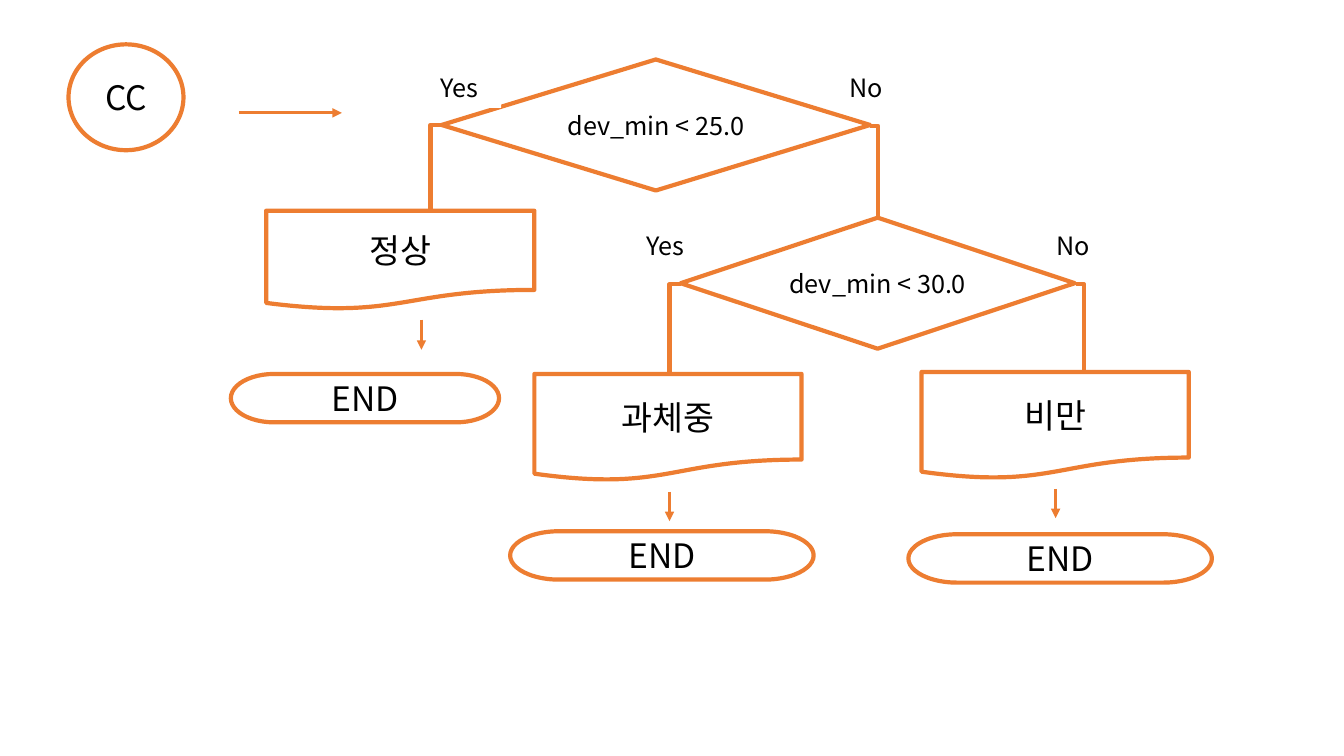
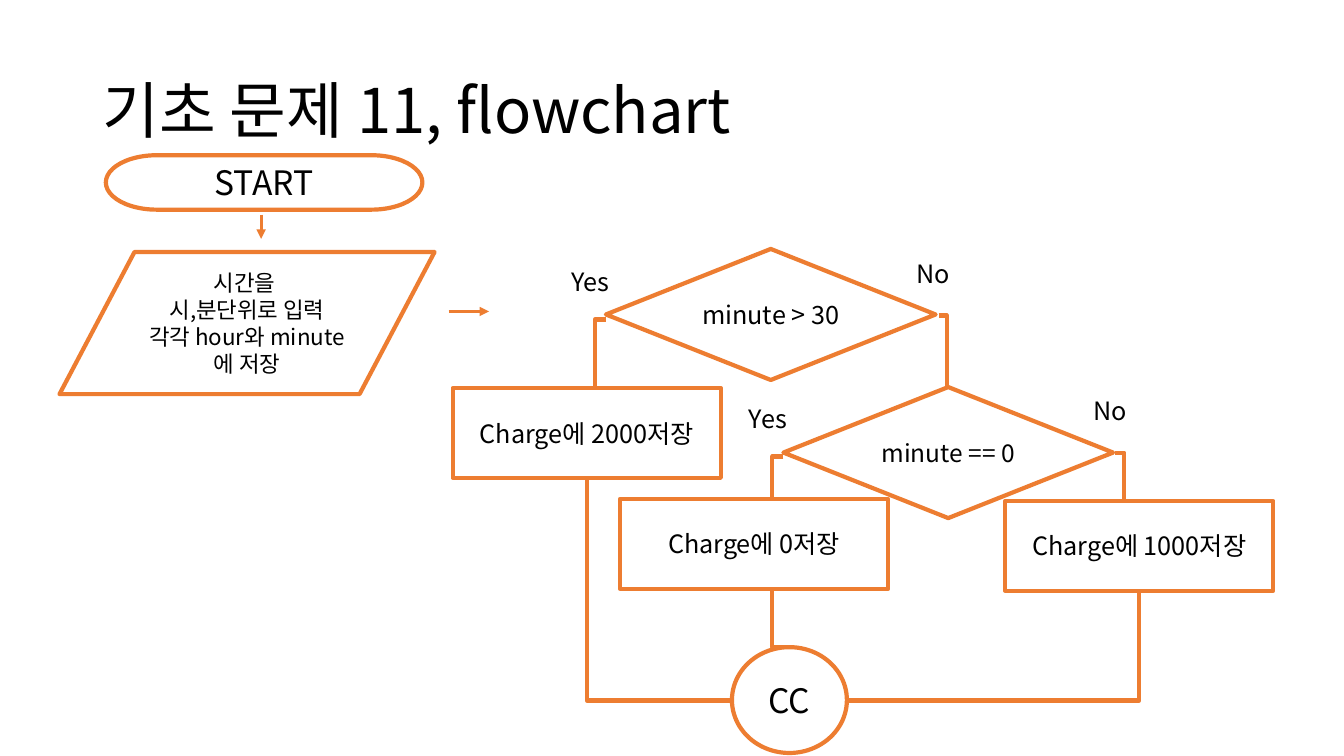
from pptx import Presentation
from pptx.dml.color import RGBColor
from pptx.enum.shapes import MSO_CONNECTOR, MSO_SHAPE
from pptx.enum.text import MSO_ANCHOR, PP_ALIGN
from pptx.oxml.ns import qn
from pptx.util import Inches, Pt
from lxml import etree

ORANGE = RGBColor(0xED, 0x7D, 0x31)
WHITE = RGBColor(0xFF, 0xFF, 0xFF)
BLACK = RGBColor(0x00, 0x00, 0x00)
FONT = "Noto Sans CJK KR"
CENTER, LEFT = PP_ALIGN.CENTER, PP_ALIGN.LEFT
MIDDLE, TOP = MSO_ANCHOR.MIDDLE, MSO_ANCHOR.TOP
STRAIGHT = MSO_CONNECTOR.STRAIGHT
DECISION = MSO_SHAPE.FLOWCHART_DECISION
DOCUMENT = MSO_SHAPE.FLOWCHART_DOCUMENT
TERMINATOR = MSO_SHAPE.FLOWCHART_TERMINATOR
INPUT = MSO_SHAPE.FLOWCHART_DATA
CIRCLE = MSO_SHAPE.OVAL
RECTANGLE = MSO_SHAPE.RECTANGLE

SLIDE_SIZE = (13.33, 7.5)
TITLE_BOX = (0.92, 0.4, 11.5, 1.45)
LABEL_SIZES = {"Yes": (0.7, 0.4), "No": (0.67, 0.4)}
OUTLINE, ARROW = 3, 2.25

PAGES = [
    {
        "title": None,
        "elbows": [
            [(4.38, 1.24), (4.27, 1.24), (4.27, 2.11)],
            [(8.63, 1.25), (8.71, 1.25), (8.71, 2.16)],
            [(6.75, 2.82), (6.64, 2.82), (6.64, 3.69)],
            [(10.67, 2.82), (10.75, 2.82), (10.75, 3.74)],
        ],
        "nodes": [
            (CIRCLE, "CC", 24, (0.68, 0.44, 1.14, 1.05)),
            (DECISION, "dev_min < 25.0", 18, (4.38, 0.59, 4.25, 1.3)),
            (DECISION, "dev_min < 30.0", 18, (6.75, 2.16, 3.91, 1.3)),
            (DOCUMENT, "정상", 24, (2.64, 2.09, 2.66, 0.98)),
            (DOCUMENT, "과체중", 24, (5.3, 3.71, 2.65, 1.06)),
            (DOCUMENT, "비만", 24, (9.14, 3.69, 2.65, 1.06)),
            (TERMINATOR, "END", 24, (2.29, 3.71, 2.66, 0.48)),
            (TERMINATOR, "END", 24, (5.06, 5.27, 3.01, 0.48)),
            (TERMINATOR, "END", 24, (9.01, 5.3, 3.01, 0.48)),
        ],
        "labels": [
            ("Yes", 4.27, 0.67), ("No", 8.33, 0.67),
            ("Yes", 6.31, 2.24), ("No", 10.38, 2.24),
        ],
        "arrows": [
            (2.37, 1.12, 3.39, 1.12),
            (4.18, 3.17, 4.18, 3.47),
            (6.64, 4.88, 6.64, 5.17),
            (10.47, 4.85, 10.47, 5.14),
        ],
    },
    {
        "title": "기초 문제 11, flowchart",
        "elbows": [
            [(6.01, 3.17), (5.9, 3.17), (5.9, 4.04)],
            [(9.31, 3.13), (9.39, 3.13), (9.39, 4.04)],
            [(7.77, 4.53), (7.66, 4.53), (7.66, 5.4)],
            [(11.06, 4.49), (11.15, 4.49), (11.15, 5.4)],
            [(5.82, 4.74), (5.82, 6.95), (7.26, 6.95)],
            [(7.66, 4.94), (7.66, 6.42), (7.84, 6.42)],
            [(11.3, 5.85), (11.3, 6.95), (8.41, 6.95)],
        ],
        "nodes": [
            (TERMINATOR, "START", 24, (1.05, 1.54, 3.14, 0.54)),
            (INPUT, "시간을 \n시,분단위로 입력\n각각 hour와 minute에 저장", 16,
             (0.59, 2.5, 3.72, 1.41)),
            (CIRCLE, "CC", 24, (7.26, 6.42, 1.14, 1.05)),
            (DECISION, "minute > 30", 18, (6.01, 2.47, 3.27, 1.3)),
            (DECISION, "minute == 0", 17.5, (7.77, 3.84, 3.27, 1.3)),
            (RECTANGLE, "Charge에 2000저장", 18, (4.49, 3.85, 2.66, 0.89)),
            (RECTANGLE, "Charge에 1000저장", 18, (9.97, 4.97, 2.66, 0.89)),
            (RECTANGLE, "Charge에 0저장", 18, (6.15, 4.95, 2.66, 0.89)),
        ],
        "labels": [
            ("Yes", 5.57, 2.59), ("No", 8.99, 2.51),
            ("Yes", 7.33, 3.95), ("No", 10.75, 3.87),
        ],
        "arrows": [
            (2.59, 2.13, 2.59, 2.37),
            (4.45, 3.09, 4.85, 3.09),
        ],
    },
]


def inches(values):
    return [Inches(value) for value in values]


def write_text(box, text, size, align=CENTER, anchor=MIDDLE, spacing=None):
    frame = box.text_frame
    frame.word_wrap = True
    frame.vertical_anchor = anchor
    for index, line in enumerate(text.split("\n")):
        para = frame.add_paragraph() if index else frame.paragraphs[0]
        para.alignment = align
        if spacing:
            para.line_spacing = spacing
        span = para.add_run()
        span.text = line
        span.font.size = Pt(size)
        span.font.name = FONT
        span.font.color.rgb = BLACK
        east_asian = etree.SubElement(span.font._element, qn("a:ea"))
        east_asian.set("typeface", FONT)


def style_line(line, width):
    line.color.rgb = ORANGE
    line.width = Pt(width)


def add_node(page, preset, text, size, place, outlined=True, **text_format):
    node = page.shapes.add_shape(preset, *inches(place))
    node.shadow.inherit = False
    node.fill.solid()
    node.fill.fore_color.rgb = WHITE
    if outlined:
        style_line(node.line, OUTLINE)
    else:
        node.line.fill.background()
    write_text(node, text, size, **text_format)


def add_elbow(page, points):
    start, *corners = [inches(point) for point in points]
    builder = page.shapes.build_freeform(*start)
    builder.add_line_segments(corners, close=False)
    elbow = builder.convert_to_shape()
    elbow.shadow.inherit = False
    elbow.fill.background()
    style_line(elbow.line, OUTLINE)


def add_arrow(page, ends):
    arrow = page.shapes.add_connector(STRAIGHT, *inches(ends))
    style_line(arrow.line, ARROW)
    etree.SubElement(arrow.line._get_or_add_ln(), qn("a:tailEnd"), type="triangle")
    etree.SubElement(arrow._element.spPr, qn("a:effectLst"))


def build_page(deck, content):
    page = deck.slides.add_slide(deck.slide_layouts[6])
    if content["title"]:
        title = page.shapes.add_textbox(*inches(TITLE_BOX))
        write_text(title, content["title"], 44, align=LEFT, spacing=0.9)
    for points in content["elbows"]:
        add_elbow(page, points)
    for node in content["nodes"]:
        add_node(page, *node)
    for text, left, top in content["labels"]:
        add_node(page, RECTANGLE, text, 18, (left, top, *LABEL_SIZES[text]),
                 outlined=False, align=LEFT, anchor=TOP)
    for ends in content["arrows"]:
        add_arrow(page, ends)


def main():
    deck = Presentation()
    deck.slide_width, deck.slide_height = inches(SLIDE_SIZE)
    for content in PAGES:
        build_page(deck, content)
    deck.save("out.pptx")


if __name__ == "__main__":
    main()
